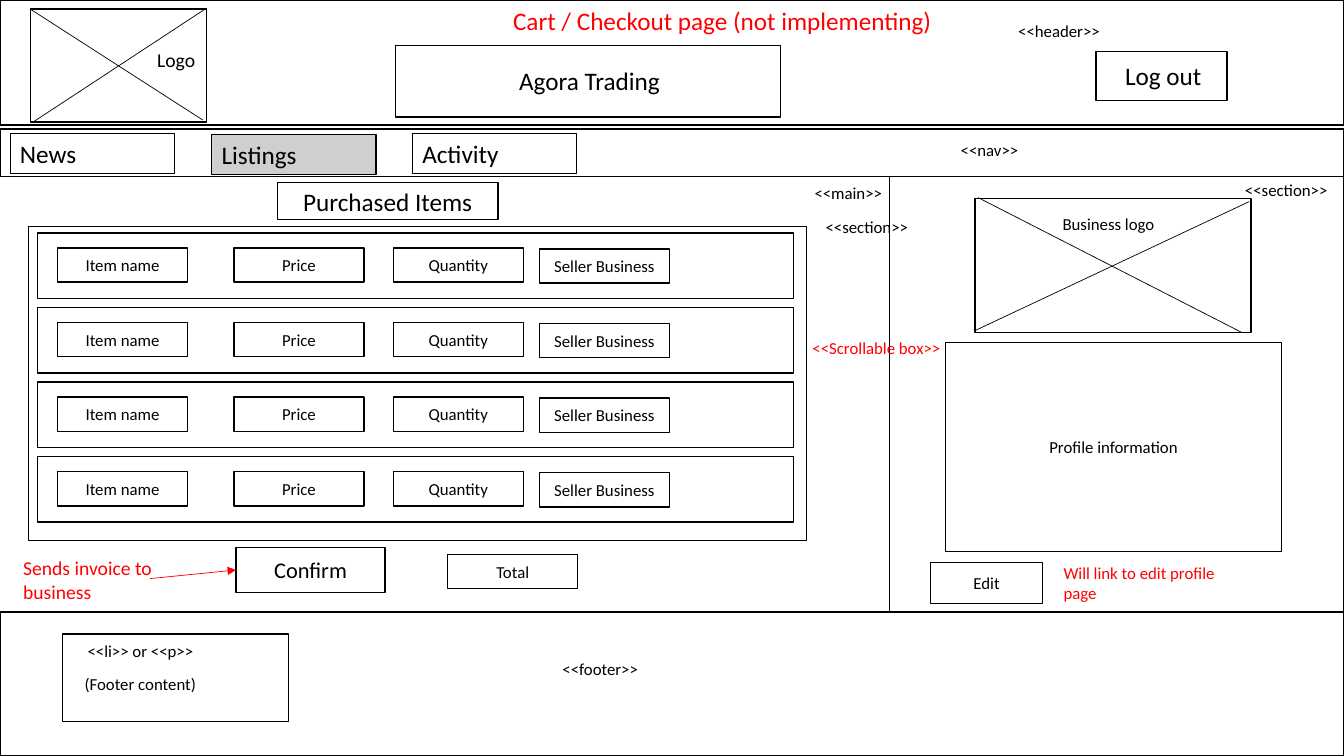
from lxml import etree
from pptx import Presentation
from pptx.dml.color import RGBColor
from pptx.enum import shapes, text
from pptx.oxml import ns
from pptx.util import Inches, Pt

BLACK = RGBColor(0x00, 0x00, 0x00)
RED = RGBColor(0xFF, 0x00, 0x00)
GREY = RGBColor(0xD0, 0xCE, 0xCE)
FONT = "Calibri"

FRAMES = [
    (0, 0, 13.33, 1.24),
    (0, 1.28, 13.33, 0.47),
    (0, 6.07, 13.33, 1.43),
    (8.82, 1.75, 4.51, 4.33),
    (0.3, 0.09, 1.75, 1.12),
    (3.92, 0.45, 3.82, 0.71),
    (10.87, 0.51, 1.3, 0.49),
    (0.28, 2.25, 7.72, 3.11),
    (9.67, 1.97, 2.74, 1.33),
    (0.62, 6.29, 2.24, 0.87),
]
CROSS_LINES = [
    (0.3, 0.09, 2.01, 1.19),
    (2.05, 0.08, 0.33, 1.21),
    (9.7, 1.96, 12.32, 3.3),
    (9.67, 3.28, 12.39, 2),
]
TABS = [("News", 0.1, 1.32, None), ("Listings", 2.1, 1.33, GREY), ("Activity", 4.09, 1.32, None)]
ITEM_FIELDS = [
    ("Item name", 0.57, 0.15),
    ("Price", 2.32, 0.15),
    ("Quantity", 3.9, 0.15),
    ("Seller Business", 5.35, 0.16),
]
BUTTONS = [
    ("Purchased Items", 2.75, 1.81, 2.19, 0.37, 18),
    ("Total", 4.44, 5.5, 1.29, 0.34, 12),
    ("Profile information", 9.38, 3.4, 3.33, 2.07, 12),
    ("Edit", 9.23, 5.58, 1.11, 0.41, 12),
]
LABELS = [
    ("Cart / Checkout page (not implementing)", 4.99, 0, 4.97, 0.4, 18, RED),
    ("Agora Trading", 5.05, 0.6, 1.89, 0.4, 18, BLACK),
    ("Log out", 11.06, 0.55, 1.19, 0.4, 18, BLACK),
    ("Logo", 1.46, 0.43, 0.65, 0.34, 14, BLACK),
    ("Business logo", 10.44, 2.07, 1.22, 0.3, 12, BLACK),
    ("<<header>>", 10, 0.16, 1.75, 0.3, 12, BLACK),
    ("<<nav>>", 9.43, 1.34, 1.75, 0.3, 12, BLACK),
    ("<<main>>", 7.98, 1.76, 0.89, 0.3, 12, BLACK),
    ("<<section>>", 8.09, 2.1, 1.06, 0.3, 12, BLACK),
    ("<<section>>", 12.25, 1.73, 1.06, 0.3, 12, BLACK),
    ("<<footer>>", 5.48, 6.49, 1.59, 0.3, 12, BLACK),
    ("<<li>> or <<p>>", 0.77, 6.31, 1.49, 0.3, 12, BLACK),
    ("(Footer content)", 0.74, 6.63, 1.49, 0.3, 12, BLACK),
    ("<<Scrollable box>>", 7.96, 3.3, 1.48, 0.3, 12, RED),
    ("Sends invoice to business", 0.13, 5.47, 1.59, 0.57, 14, RED),
    ("Will link to edit profile page", 10.45, 5.53, 1.73, 0.5, 12, RED),
]


def write(box, words, size, color=BLACK, align=text.PP_ALIGN.LEFT, anchor=text.MSO_ANCHOR.TOP):
    """Write one line of styled text into a box."""
    frame = box.text_frame
    frame.word_wrap = True
    frame.vertical_anchor = anchor
    para = frame.paragraphs[0]
    para.alignment = align
    span = para.add_run()
    span.text = words
    span.font.name = FONT
    span.font.size = Pt(size)
    span.font.color.rgb = color


def add_frame(page, left, top, width, height, fill=None, weight=1):
    """Add an outlined rectangle."""
    box = page.shapes.add_shape(
        shapes.MSO_SHAPE.RECTANGLE, Inches(left), Inches(top), Inches(width), Inches(height)
    )
    box.shadow.inherit = False
    if fill is None:
        box.fill.background()
    else:
        box.fill.solid()
        box.fill.fore_color.rgb = fill
    box.line.color.rgb = BLACK
    box.line.width = Pt(weight)
    return box


def add_button(page, words, left, top, width, height, size):
    """Add a rectangle with centred text."""
    box = add_frame(page, left, top, width, height)
    write(box, words, size, align=text.PP_ALIGN.CENTER, anchor=text.MSO_ANCHOR.MIDDLE)
    return box


def add_tab(page, words, left, top, fill):
    """Add a navigation tab."""
    write(add_frame(page, left, top, 1.63, 0.4, fill, 0.75), words, 18)


def add_label(page, words, left, top, width, height, size, color):
    """Add a free-standing text label."""
    box = page.shapes.add_textbox(Inches(left), Inches(top), Inches(width), Inches(height))
    write(box, words, size, color)


def add_line(page, x1, y1, x2, y2, color=BLACK):
    """Add a thin straight line."""
    line = page.shapes.add_connector(
        shapes.MSO_CONNECTOR.STRAIGHT, Inches(x1), Inches(y1), Inches(x2), Inches(y2)
    )
    line.line.color.rgb = color
    line.line.width = Pt(0.5)
    etree.SubElement(line._element.spPr, ns.qn("a:effectLst"))
    return line


def add_arrow(page, x, y, target):
    """Add a red arrow from a point to the left side of a target box."""
    arrow = add_line(page, x, y, x, y, RED)
    arrow.end_connect(target, 1)
    etree.SubElement(arrow.line._get_or_add_ln(), ns.qn("a:tailEnd"), type="triangle")


def add_item_row(page, top):
    """Add one purchased item with its fields."""
    add_frame(page, 0.37, top, 7.5, 0.65)
    for words, left, drop in ITEM_FIELDS:
        add_button(page, words, left, top + drop, 1.29, 0.34, 12)


def main():
    """Build the checkout page wireframe."""
    deck = Presentation()
    deck.slide_width, deck.slide_height = Inches(13.33), Inches(7.5)
    page = deck.slides.add_slide(deck.slide_layouts[6])
    for frame in FRAMES:
        add_frame(page, *frame)
    for ends in CROSS_LINES:
        add_line(page, *ends)
    for tab in TABS:
        add_tab(page, *tab)
    for row in range(4):
        add_item_row(page, 2.31 + 0.74 * row)
    for button in BUTTONS:
        add_button(page, *button)
    for label in LABELS:
        add_label(page, *label)
    confirm = add_button(page, "Confirm", 2.34, 5.43, 1.48, 0.45, 16)
    add_arrow(page, 1.49, 5.74, confirm)
    deck.save("out.pptx")


if __name__ == "__main__":
    main()
